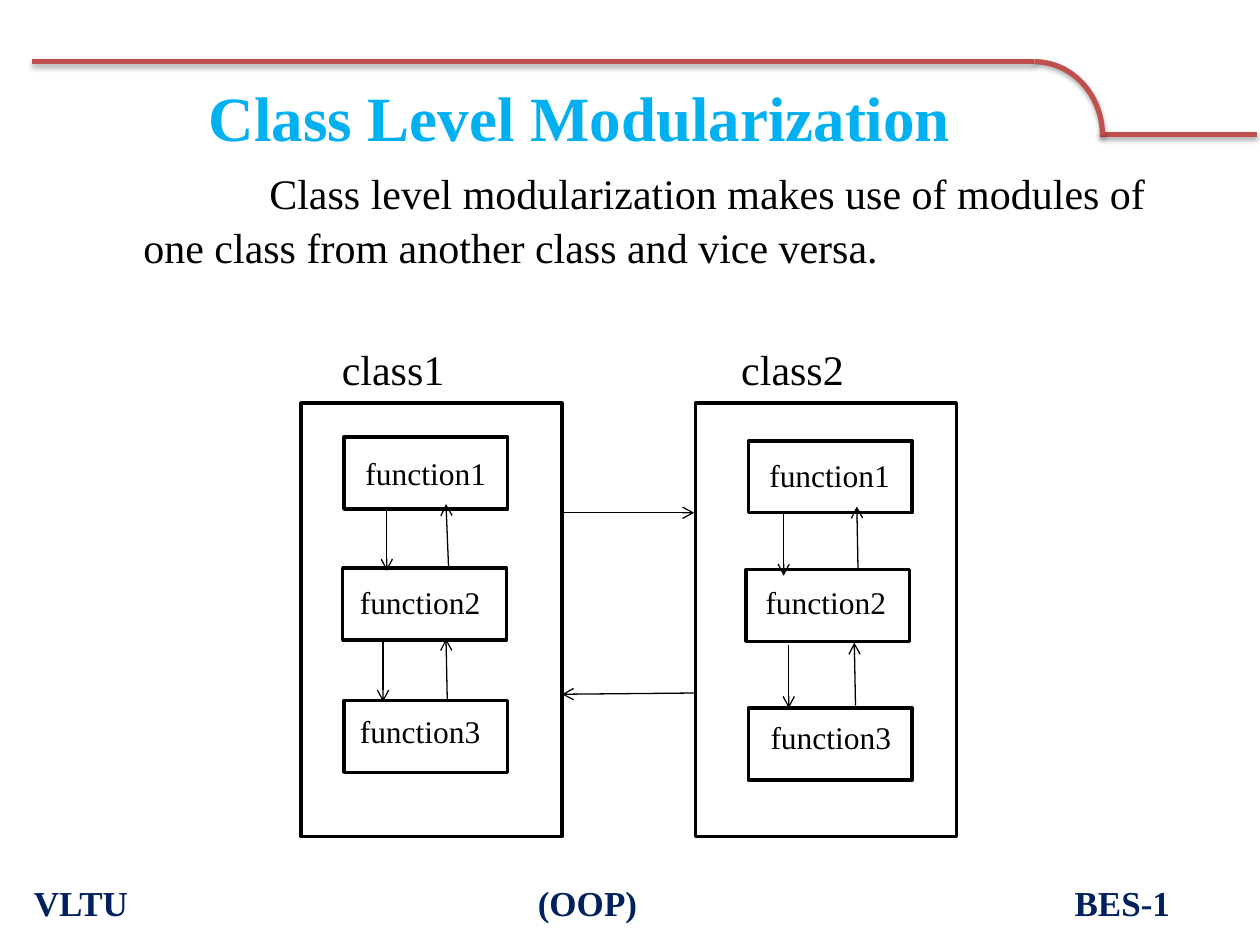
from lxml import etree
from pptx import Presentation, util as u
from pptx.dml.color import RGBColor
from pptx.enum import shapes, text
from pptx.oxml import ns

BLACK = RGBColor(0, 0, 0)
RED = RGBColor(0xC0, 0x50, 0x4D)
SKY = RGBColor(0, 0xB0, 0xF0)
NAVY = RGBColor(0, 0x20, 0x60)
FONT = "Times New Roman"

TITLE = "Class Level Modularization"
BODY = "Class level modularization makes use of modules of one class from another class and vice versa."
FOOTER = "VLTU\t(OOP)\tBES-1"
FOOTER_TABS = (4.0, 8.26)

CLASS_TOP, CLASS_SIZE = 3.2, (2.07, 3.44)
FUNCTION_SIZE = (1.3, 0.57)
LABEL_SIZE = (1.17, 0.4)
CLASS_LABEL_SIZE = (1.02, 0.5)
CLASSES = [
    {"name": "class1", "left": 2.39, "label": (2.61, 2.68),
     "functions": [("function1", (2.73, 3.47), None),
                   ("function2", (2.72, 4.51), (2.75, 4.58)),
                   ("function3", (2.73, 5.56), (2.75, 5.6))]},
    {"name": "class2", "left": 5.52, "label": (5.78, 2.68),
     "functions": [("function1", (5.94, 3.5), (6, 3.57)),
                   ("function2", (5.92, 4.52), (5.97, 4.58)),
                   ("function3", (5.94, 5.62), (6.01, 5.65))]},
]
CALLS = [
    ((3.07, 4.03), (3.07, 4.53)), ((3.56, 4.5), (3.54, 4)),
    ((3.04, 5.07), (3.04, 5.57)), ((3.55, 5.57), (3.54, 5.07)),
    ((6.22, 4.07), (6.22, 4.57)), ((6.81, 4.52), (6.8, 4.02)),
    ((6.26, 5.12), (6.26, 5.62)), ((6.79, 5.6), (6.78, 5.1)),
    ((4.46, 4.07), (5.51, 4.07)), ((5.52, 5.5), (4.46, 5.51)),
]
FRAME_LINES = [((8.73, 1.07), (9.98, 1.07)), ((8.21, 0.49), (0.25, 0.49))]

presentation = Presentation()
presentation.slide_width, presentation.slide_height = u.Inches(10), u.Inches(7.5)
slide = presentation.slides.add_slide(presentation.slide_layouts[6])


def inches(*lengths):
    return [u.Inches(length) for length in lengths]


def write(shape, words, size=18, color=BLACK, bold=False, align=text.PP_ALIGN.CENTER,
          anchor=text.MSO_ANCHOR.TOP, wrap=True):
    frame = shape.text_frame
    frame.word_wrap = wrap
    frame.vertical_anchor = anchor
    paragraph = frame.paragraphs[0]
    paragraph.alignment = align
    run = paragraph.add_run()
    run.text = words
    run.font.name, run.font.size, run.font.bold = FONT, u.Pt(size), bold
    run.font.color.rgb = color
    return paragraph


def add_text(words, position, size_in_inches, **style):
    return write(slide.shapes.add_textbox(*inches(*position, *size_in_inches)), words, **style)


def add_outline(kind, position, size_in_inches, color=BLACK, width=2):
    shape = slide.shapes.add_shape(kind, *inches(*position, *size_in_inches))
    shape.shadow.inherit = False
    shape.fill.background()
    shape.line.color.rgb, shape.line.width = color, u.Pt(width)
    return shape


def add_line(start, end, color=BLACK, width=0.75):
    line = slide.shapes.add_connector(shapes.MSO_CONNECTOR.STRAIGHT, *inches(*start, *end))
    line.line.color.rgb, line.line.width = color, u.Pt(width)
    etree.SubElement(line._element.spPr, ns.qn("a:effectLst"))
    return line


def add_shadow(shape):
    effects = shape._element.spPr.find(ns.qn("a:effectLst"))
    shadow = etree.SubElement(effects, ns.qn("a:outerShdw"), blurRad=str(u.Pt(3.1)),
                              dist=str(u.Pt(1.8)), dir="5400000", rotWithShape="0")
    shade = etree.SubElement(shadow, ns.qn("a:srgbClr"), val=str(BLACK))
    etree.SubElement(shade, ns.qn("a:alpha"), val="35000")


for start, end in FRAME_LINES:
    add_shadow(add_line(start, end, RED, 3))
add_shadow(add_outline(shapes.MSO_SHAPE.ARC, (7.67, 0.49), (1.08, 1.17), RED, 3))

add_text(TITLE, (0.56, 0.56), (8.08, 0.72), size=36, color=SKY, bold=True,
         anchor=text.MSO_ANCHOR.MIDDLE)

body = add_text(BODY, (0.66, 1.26), (8.73, 0.96), size=24, align=text.PP_ALIGN.LEFT)
body.line_spacing = 1.06
body_format = body._p.get_or_add_pPr()
body_format.set("marL", str(u.Inches(0.38)))
body_format.set("indent", str(u.Inches(1)))

footer = add_text(FOOTER, (0.17, 6.9), (9.54, 0.52), size=20, color=NAVY, bold=True,
                  align=text.PP_ALIGN.LEFT, anchor=text.MSO_ANCHOR.MIDDLE)
tabs = etree.SubElement(footer._p.get_or_add_pPr(), ns.qn("a:tabLst"))
for stop in FOOTER_TABS:
    etree.SubElement(tabs, ns.qn("a:tab"), pos=str(u.Inches(stop)), algn="l")

for item in CLASSES:
    add_outline(shapes.MSO_SHAPE.RECTANGLE, (item["left"], CLASS_TOP), CLASS_SIZE)
    add_text(item["name"], item["label"], CLASS_LABEL_SIZE, size=24, wrap=False)
    for name, position, label in item["functions"]:
        box = add_outline(shapes.MSO_SHAPE.RECTANGLE, position, FUNCTION_SIZE)
        if label:
            add_text(name, label, LABEL_SIZE, wrap=False)
        else:
            write(box, name, anchor=text.MSO_ANCHOR.MIDDLE)

for start, end in CALLS:
    arrow = add_line(start, end)
    etree.SubElement(arrow.line._get_or_add_ln(), ns.qn("a:tailEnd"), type="arrow")

presentation.save("out.pptx")
